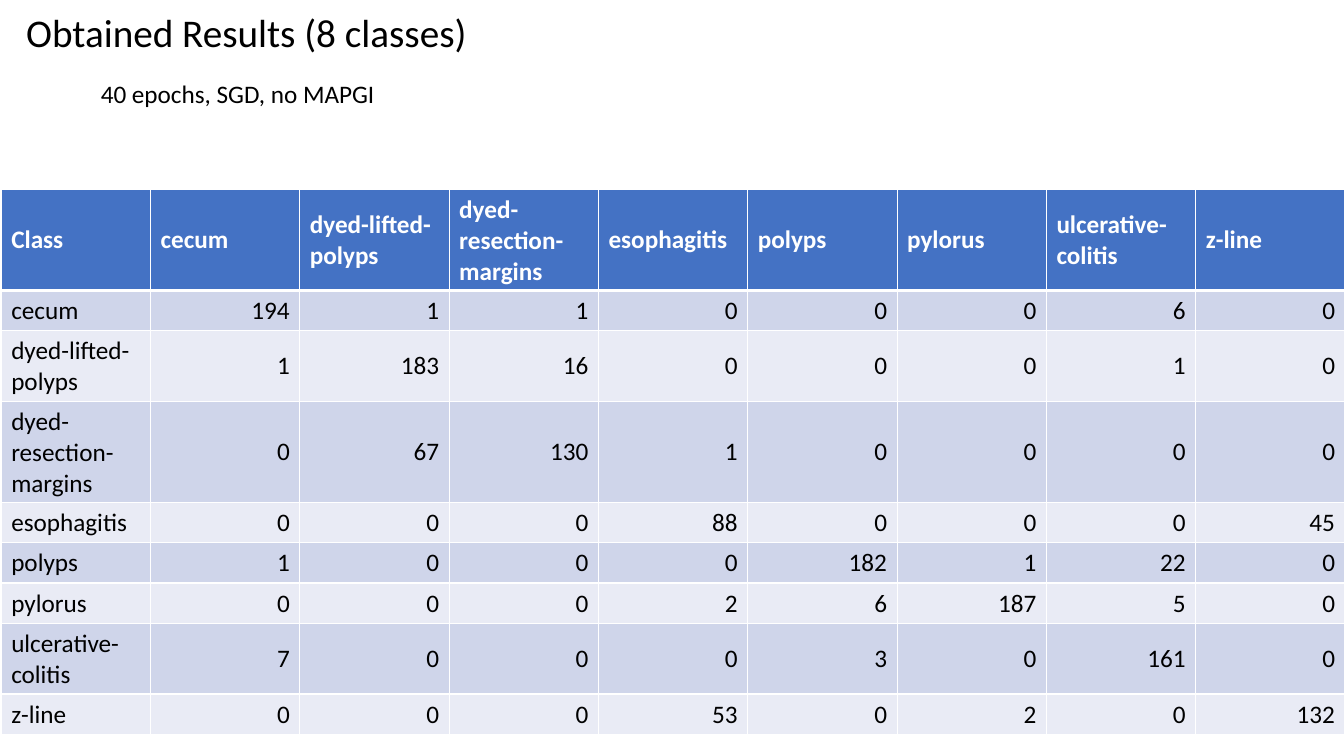
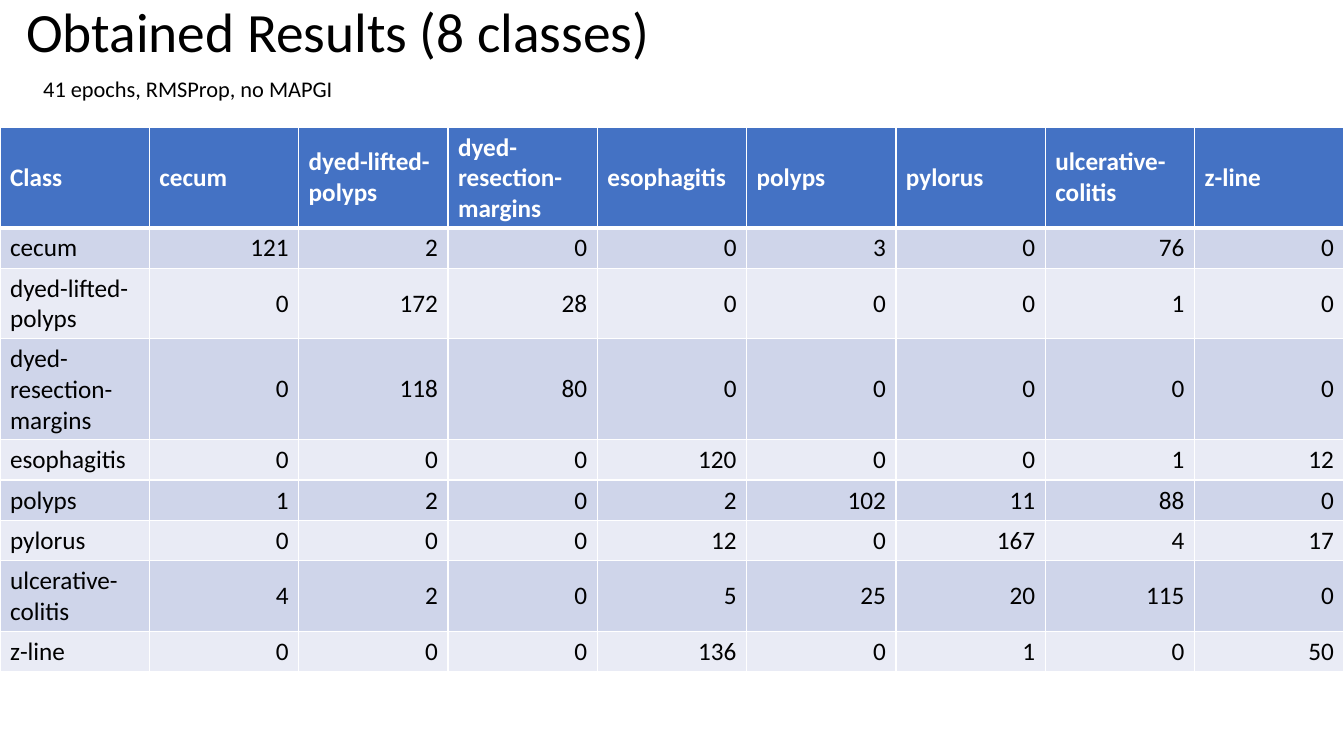
"""Build two slides with the confusion matrices of the 8-class results."""
from lxml.etree import SubElement
from pptx import Presentation
from pptx.dml.color import RGBColor as RGB
from pptx.enum.text import MSO_ANCHOR as ANCHOR, MSO_AUTO_SIZE as FIT, PP_ALIGN as ALIGN
from pptx.oxml.ns import qn
from pptx.util import Cm, Pt

COLORS = {"text": "000000", "white": "FFFFFF", "header": "4472C4",
          "odd": "CFD5EA", "even": "E9EBF5"}
TITLE = "Obtained Results (8 classes)"
CLASSES = ["cecum", "dyed-lifted-polyps", "dyed-resection-margins", "esophagitis",
           "polyps", "pylorus", "ulcerative-colitis", "z-line"]
SLIDE_W, SLIDE_H = 33.87, 19.05
TABLE_H, ROW_H = 13.72, 0.46

RESULTS = [
    {"title_size": 28, "note": "40 epochs, SGD, no MAPGI", "note_size": 18,
     "note_box": (2.29, 1.85, 7.62, 1.02), "table_at": (0.03, 4.78),
     "matrix": [[194, 1, 1, 0, 0, 0, 6, 0],
                [1, 183, 16, 0, 0, 0, 1, 0],
                [0, 67, 130, 1, 0, 0, 0, 0],
                [0, 0, 0, 88, 0, 0, 0, 45],
                [1, 0, 0, 0, 182, 1, 22, 0],
                [0, 0, 0, 2, 6, 187, 5, 0],
                [7, 0, 0, 0, 3, 0, 161, 0],
                [0, 0, 0, 53, 0, 2, 0, 132]]},
    {"title_size": 39.6, "note": "41 epochs, RMSProp, no MAPGI", "note_size": 16,
     "note_box": (0.84, 1.78, 8.13, 0.94), "table_at": (0, 3.2),
     "matrix": [[121, 2, 0, 0, 3, 0, 76, 0],
                [0, 172, 28, 0, 0, 0, 1, 0],
                [0, 118, 80, 0, 0, 0, 0, 0],
                [0, 0, 0, 120, 0, 0, 1, 12],
                [1, 2, 0, 2, 102, 11, 88, 0],
                [0, 0, 0, 12, 0, 167, 4, 17],
                [4, 2, 0, 5, 25, 20, 115, 0],
                [0, 0, 0, 136, 0, 1, 0, 50]]},
]


def write(tf, text, size, color="text", bold=False, **layout):
    p = tf.paragraphs[0]
    for name, value in layout.items():
        setattr(p, name, value)
    r = p.add_run()
    r.text = text
    for name, value in {"name": "Calibri", "size": Pt(size), "bold": bold}.items():
        setattr(r.font, name, value)
    r.font.color.rgb = RGB.from_string(COLORS[color])


def add_border(cell, side, width):
    ln = SubElement(cell._tc.get_or_add_tcPr(), qn(f"a:ln{side}"), w=str(Pt(width)))
    fill = SubElement(ln, qn("a:solidFill"))
    SubElement(fill, qn("a:srgbClr"), val=COLORS["white"])


prs = Presentation()
prs.slide_width, prs.slide_height = Cm(SLIDE_W), Cm(SLIDE_H)

for result in RESULTS:
    s = prs.slides.add_slide(prs.slide_layouts[6])

    tf = s.shapes.add_textbox(Cm(0.41), Cm(0), Cm(29.21), Cm(1.75)).text_frame
    tf.word_wrap, tf.vertical_anchor = True, ANCHOR.MIDDLE
    write(tf, TITLE, result["title_size"], line_spacing=0.9)

    tf = s.shapes.add_textbox(*map(Cm, result["note_box"])).text_frame
    tf.word_wrap, tf.auto_size = True, FIT.SHAPE_TO_FIT_TEXT
    write(tf, result["note"], result["note_size"])

    rows = [["Class", *CLASSES]]
    rows += [[name, *counts] for name, counts in zip(CLASSES, result["matrix"])]
    left, top = map(Cm, result["table_at"])
    frame = s.shapes.add_table(len(rows), len(rows[0]), left, top, Cm(SLIDE_W), Cm(TABLE_H))
    table = frame.table
    for i, values in enumerate(rows):
        table.rows[i].height = Cm(ROW_H)
        header = i == 0
        band = "header" if header else "odd" if i % 2 else "even"
        borders = {"L": 1, "R": 1, "T": 3 if i == 1 else 1, "B": 3 if header else 1}
        for j, value in enumerate(values):
            cell = table.cell(i, j)
            for side, width in borders.items():
                add_border(cell, side, width)
            cell.fill.solid()
            cell.fill.fore_color.rgb = RGB.from_string(COLORS[band])
            cell.vertical_anchor = ANCHOR.MIDDLE
            write(cell.text_frame, str(value), 18, "white" if header else "text", header,
                  alignment=ALIGN.LEFT if header or j == 0 else ALIGN.RIGHT)
    frame.height = Cm(TABLE_H)

prs.save("out.pptx")
